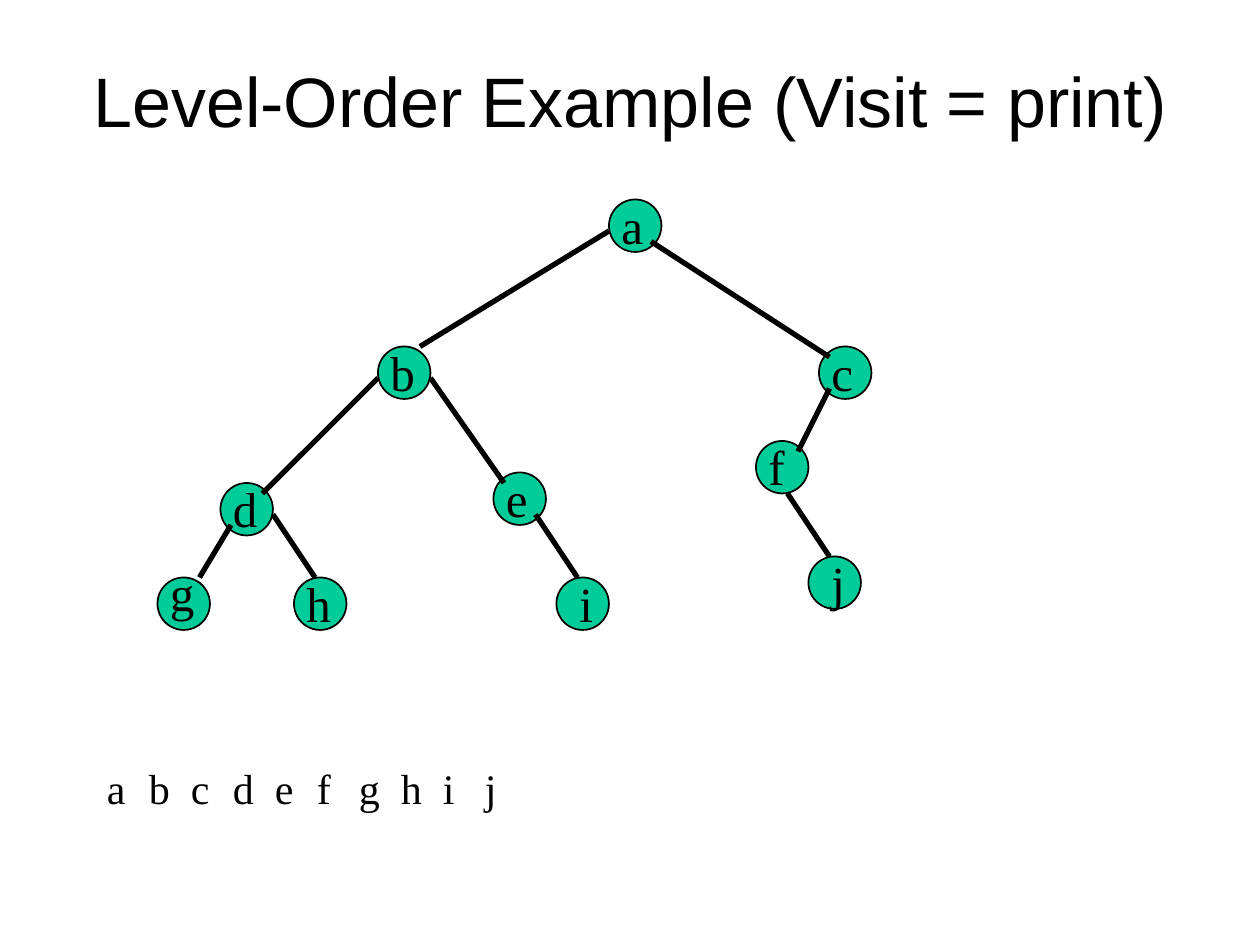
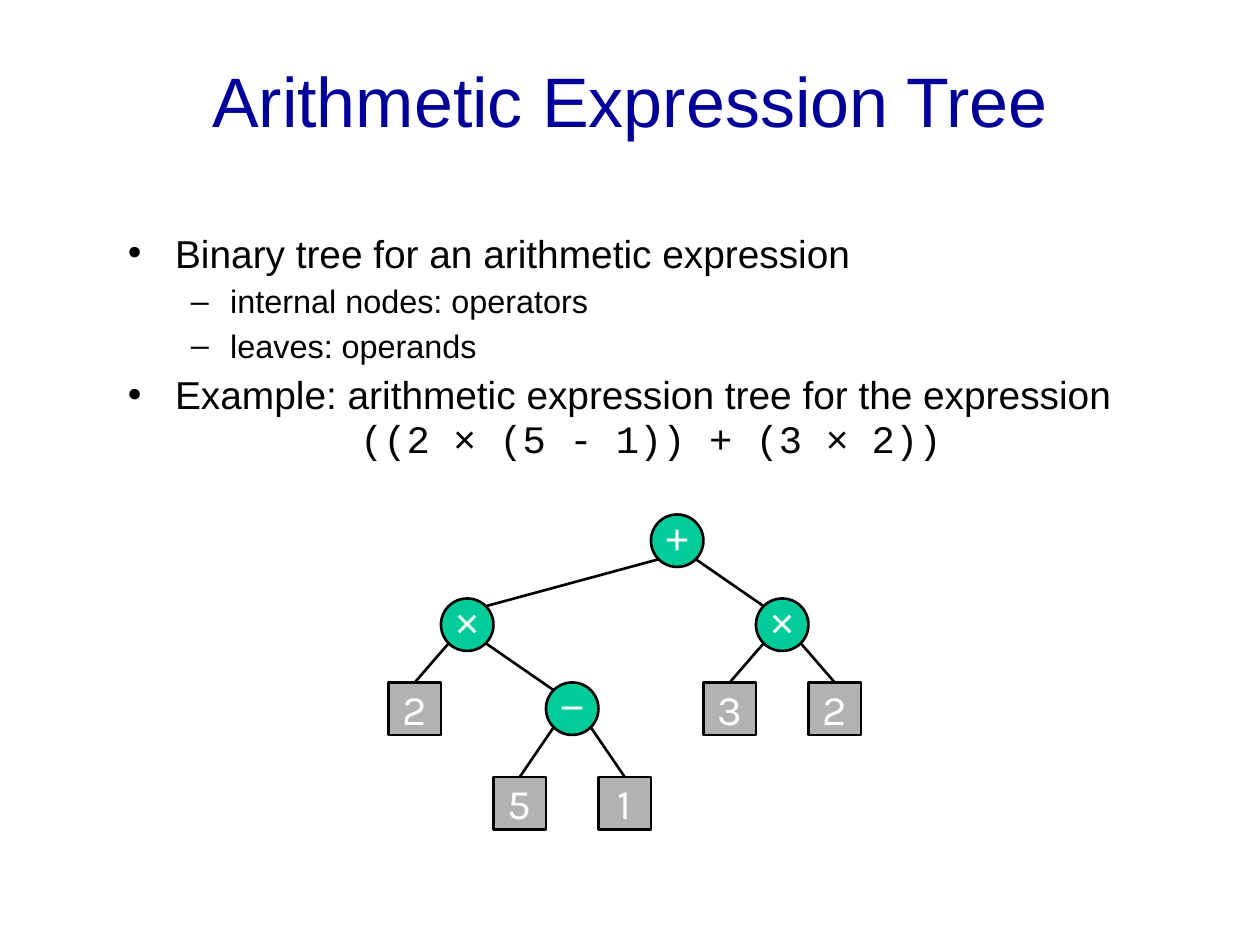
from lxml import etree
from pptx import Presentation
from pptx.dml.color import RGBColor
from pptx.enum.shapes import MSO_CONNECTOR, MSO_SHAPE
from pptx.enum.text import MSO_ANCHOR, PP_ALIGN
from pptx.oxml.ns import qn
from pptx.util import Pt

OVAL, RECT = MSO_SHAPE.OVAL, MSO_SHAPE.RECTANGLE
STRAIGHT = MSO_CONNECTOR.STRAIGHT
MIDDLE, TOP = MSO_ANCHOR.MIDDLE, MSO_ANCHOR.TOP
LEFT, CENTER = PP_ALIGN.LEFT, PP_ALIGN.CENTER

BLACK = RGBColor(0x00, 0x00, 0x00)
WHITE = RGBColor(0xFF, 0xFF, 0xFF)
NAVY = RGBColor(0x00, 0x00, 0x99)
GREEN = RGBColor(0x00, 0xCC, 0x99)
GRAY = RGBColor(0xB2, 0xB2, 0xB2)

SANS, SERIF, MONO, DIGITS = "Arial", "Times New Roman", "Courier New", "Karla"
NODE = 30
CORNER = 10.6


def put_text(sp, text, size, font, color, align=LEFT, anchor=TOP):
    tf = sp.text_frame
    tf.text = text
    tf.vertical_anchor = anchor
    p = tf.paragraphs[0]
    p.alignment = align
    r = p.runs[0]
    r.font.size = Pt(size)
    r.font.name = font
    r.font.color.rgb = color
    return tf


def add_node(s, kind, x, y, fill, width):
    sp = s.shapes.add_shape(kind, Pt(x), Pt(y), Pt(NODE), Pt(NODE))
    sp.shadow.inherit = False
    sp.fill.solid()
    sp.fill.fore_color.rgb = fill
    sp.line.color.rgb = BLACK
    sp.line.width = Pt(width)
    return sp


prs = Presentation()
prs.slide_width, prs.slide_height = Pt(720), Pt(540)

slides = []
titles = [
    ("Level-Order Example (Visit = print)", 24, BLACK),
    ("Arithmetic Expression Tree", 54, NAVY),
]
for title, x, color in titles:
    s = prs.slides.add_slide(prs.slide_layouts[6])
    sp = s.shapes.add_textbox(Pt(x), Pt(12), Pt(720 - 2 * x), Pt(90))
    sp.text_frame.word_wrap = True
    put_text(sp, title, 40, SANS, color, CENTER, MIDDLE)
    slides.append(s)
level_slide, arithmetic_slide = slides

letters = [
    ("a", 348, 114, 0, -6), ("b", 216, 198, 0, -6), ("c", 468, 198, 0, -6),
    ("d", 126, 276, 0, -6), ("e", 282, 270, 0, -6), ("f", 432, 252, 0, -6),
    ("g", 90, 330, 0, -12), ("h", 168, 330, 0, -6), ("i", 318, 330, 6, -6),
    ("j", 462, 318, 6, -6),
]
for i, (letter, x, y, dx, dy) in enumerate(letters):
    add_node(level_slide, OVAL, x, y, GREEN, 1)
    labels = [(x + dx, y + dy, 60, 41, 28), (54 + 24 * i, 432, 30, 36, 24)]
    for left, top, width, height, size in labels:
        sp = level_slide.shapes.add_textbox(Pt(left), Pt(top), Pt(width), Pt(height))
        sp.text_frame.word_wrap = True
        put_text(sp, letter, size, SERIF, BLACK)

level_edges = [
    (348, 132, 240, 198), (372, 138, 474, 204), (216, 216, 150, 282),
    (246, 216, 288, 276), (474, 222, 456, 258), (132, 300, 114, 330),
    (156, 294, 180, 330), (306, 294, 330, 330), (450, 282, 474, 318),
]

sp = arithmetic_slide.shapes.add_textbox(Pt(66), Pt(132), Pt(612), Pt(150))
tf = sp.text_frame
tf.word_wrap = True
bullets = [
    (0, "Binary tree for an arithmetic expression"),
    (1, "internal nodes: operators"),
    (1, "leaves: operands"),
    (0, "Example: arithmetic expression tree for the expression"),
]
bullet_styles = [("•", 27, 27, 22.2, 8), ("–", 58.5, 22.5, 18.5, 7)]
for i, (level, text) in enumerate(bullets):
    mark, margin, hang, size, gap = bullet_styles[level]
    p = tf.paragraphs[0] if i == 0 else tf.add_paragraph()
    p.text = text
    p.level = level
    p.line_spacing = 0.83
    p.space_before = Pt(gap if i else 0)
    pPr = p._p.get_or_add_pPr()
    pPr.set("marL", str(Pt(margin)))
    pPr.set("indent", str(-Pt(hang)))
    etree.SubElement(pPr, qn("a:buFont"), typeface=SANS)
    etree.SubElement(pPr, qn("a:buChar"), char=mark)
    r = p.runs[0]
    r.font.size = Pt(size)
    r.font.name = SANS
    r.font.color.rgb = BLACK

p = tf.add_paragraph()
p.alignment = CENTER
p.line_spacing = 0.95
for text in ["((2 ", "×", " (5 - 1)) + (3 ", "×", " 2))"]:
    r = p.add_run()
    r.text = text
    r.font.size = Pt(22.2)
    r.font.name = SANS if text == "×" else MONO
    r.font.color.rgb = BLACK

operators = [("+", 387, 309), ("×", 447, 357), ("×", 267, 357), ("−", 327, 405)]
operands = [("2", 237, 405), ("5", 297, 459), ("1", 357, 459),
            ("3", 417, 405), ("2", 477, 405)]
for kind, fill, font, nodes in [(OVAL, GREEN, SANS, operators),
                                (RECT, GRAY, DIGITS, operands)]:
    for symbol, x, y in nodes:
        sp = add_node(arithmetic_slide, kind, x - NODE / 2, y - NODE / 2, fill, 1.5)
        tf = put_text(sp, symbol, 24, font, WHITE, CENTER, MIDDLE)
        tf.word_wrap = False
        if kind == OVAL:
            tf.margin_left = tf.margin_right = tf.margin_top = 0

plus, right_times, left_times, minus = operators
two, five, one, three, last_two = operands
children = [
    (plus, left_times, right_times), (left_times, two, minus),
    (minus, five, one), (right_times, three, last_two),
]
arithmetic_edges = []
for (_, x, y), *pair in children:
    for side, child in zip((-1, 1), pair):
        _, cx, cy = child
        if child in operators:
            end = (cx - side * CORNER, cy - CORNER)
        else:
            end = (cx, cy - NODE / 2)
        arithmetic_edges.append((x + side * CORNER, y + CORNER, *end))

for s, edges, width in [(level_slide, level_edges, 3),
                        (arithmetic_slide, arithmetic_edges, 1.5)]:
    for edge in edges:
        line = s.shapes.add_connector(STRAIGHT, *[Pt(v) for v in edge])
        line.line.color.rgb = BLACK
        line.line.width = Pt(width)
        etree.SubElement(line._element.spPr, qn("a:effectLst"))

prs.save("out.pptx")
